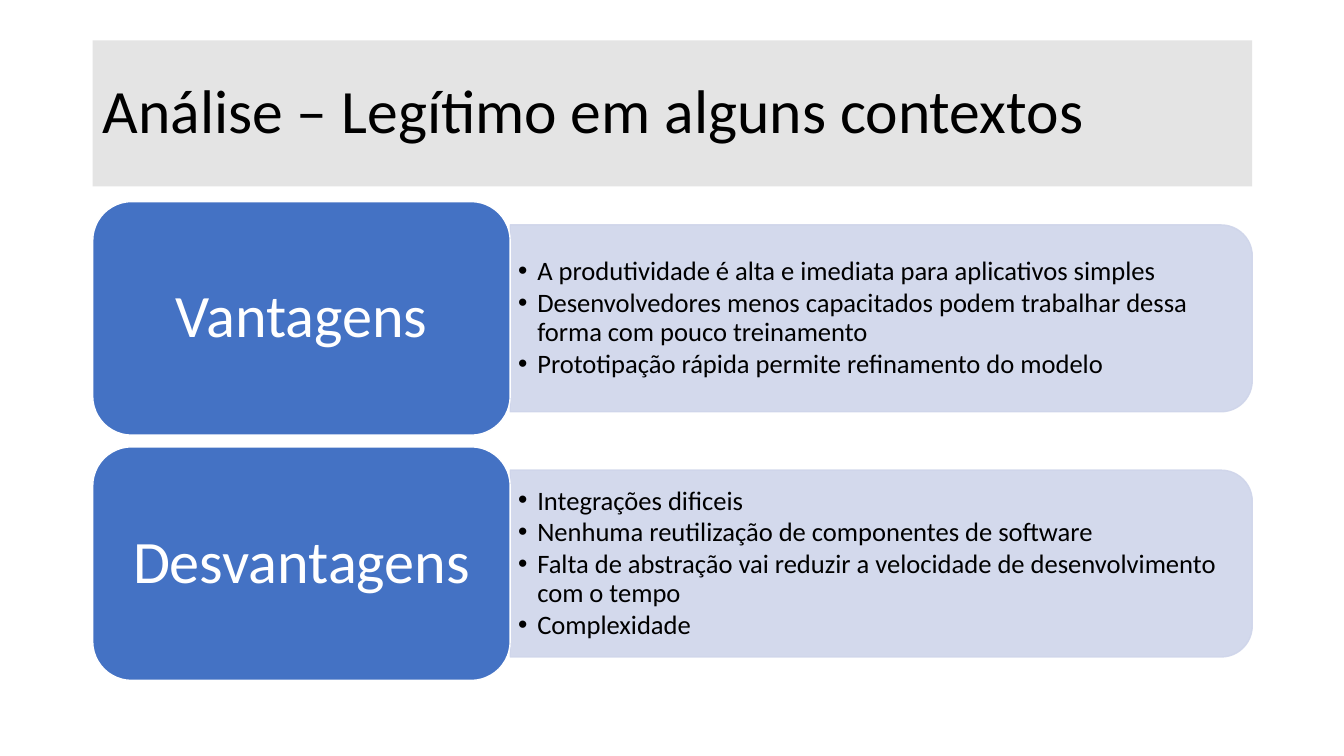
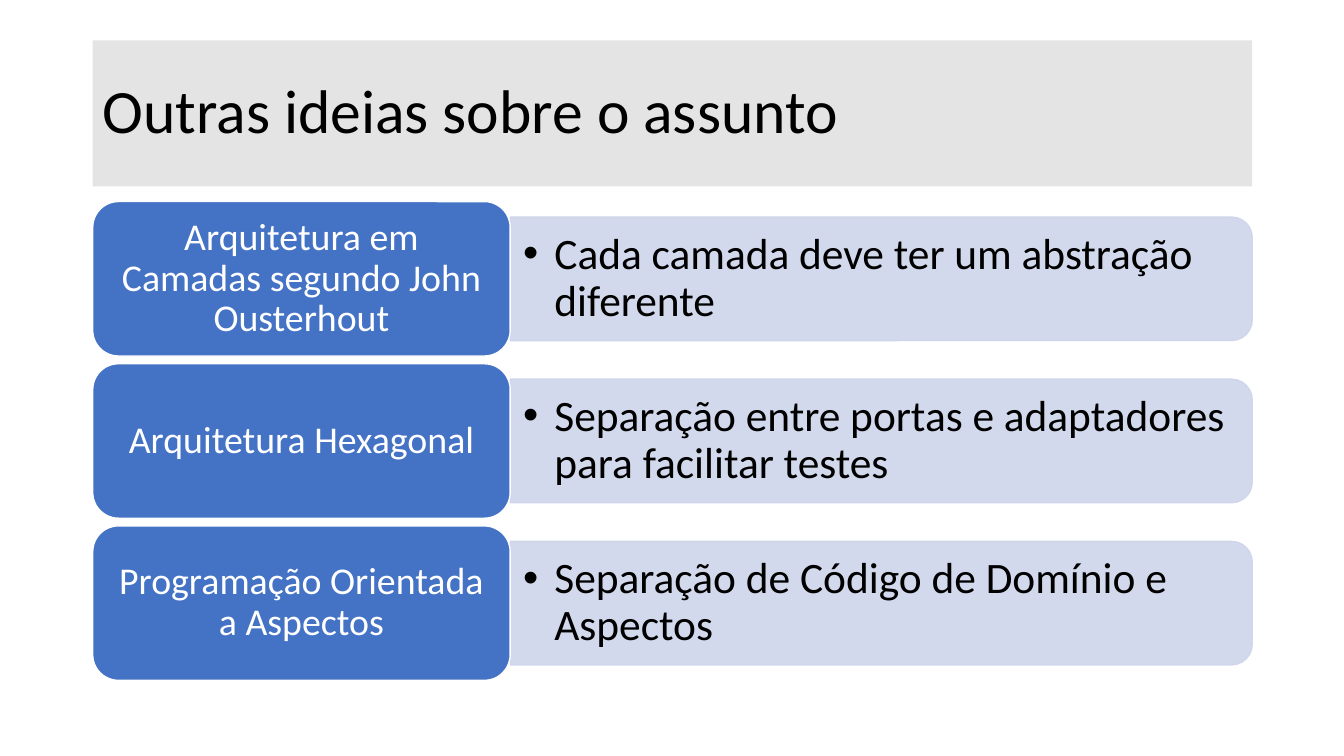
from pptx import Presentation, util as u
from pptx.dml.color import RGBColor
from pptx.enum import shapes, text
from pptx.oxml.ns import qn
from lxml import etree

WIDTH, HEIGHT = 13.33, 7.5
LEFT, CONTENT_WIDTH = 0.92, 11.5
TITLE_BOX = (LEFT, 0.4, CONTENT_WIDTH, 1.45)
ROWS_BOX = (LEFT, 2, CONTENT_WIDTH, 4.75)
LABEL_SHARE, PANEL_SHARE, GAP_SHARE = 0.36, 0.8, 0.05
FONT = "Calibri"
BLACK, WHITE, BLUE, PALE_BLUE, GREY = "000000", "FFFFFF", "4472C4", "CFD5EA", "D9D9D9"

SLIDES = [
    {
        "title": "Análise – Legítimo em alguns contextos",
        "label_size": 43,
        "panel_size": 19,
        "rows": [
            ("Vantagens", [
                "A produtividade é alta e imediata para aplicativos simples",
                "Desenvolvedores menos capacitados podem trabalhar dessa forma com pouco treinamento",
                "Prototipação rápida permite refinamento do modelo",
            ]),
            ("Desvantagens", [
                "Integrações dificeis",
                "Nenhuma reutilização de componentes de software",
                "Falta de abstração vai reduzir a velocidade de desenvolvimento com o tempo",
                "Complexidade",
            ]),
        ],
    },
    {
        "title": "Outras ideias sobre o assunto",
        "label_size": 27,
        "panel_size": 31,
        "rows": [
            ("Arquitetura em Camadas segundo John Ousterhout",
             ["Cada camada deve ter um abstração diferente"]),
            ("Arquitetura Hexagonal",
             ["Separação entre portas e adaptadores para facilitar testes"]),
            ("Programação Orientada a Aspectos",
             ["Separação de Código de Domínio e Aspectos"]),
        ],
    },
]


def inches(box):
    return [u.Inches(length) for length in box]


def paint(color_format, color, opacity=100):
    """Set a solid fill to a hex colour, with opacity in percent."""
    color_format.solid()
    color_format.fore_color.rgb = RGBColor.from_string(color)
    if opacity < 100:
        for node in color_format._xPr.iter(qn("a:srgbClr")):
            etree.SubElement(node, qn("a:alpha"), val=str(opacity * 1000))


def add_block(page, kind, box, fill, line=None, opacity=100, rotation=0):
    block = page.shapes.add_shape(kind, *inches(box))
    block.shadow.inherit = False
    block.rotation = rotation
    paint(block.fill, fill, opacity)
    if line:
        paint(block.line.fill, line, opacity)
        block.line.width = u.Pt(1)
    else:
        block.line.fill.background()
    return block


def add_bullet(para, indent):
    properties = para._p.get_or_add_pPr()
    properties.set("marL", str(u.Inches(indent)))
    properties.set("indent", str(-u.Inches(indent)))
    etree.SubElement(properties, qn("a:buFont"), typeface="Arial")
    etree.SubElement(properties, qn("a:buChar"), char="•")


def write(shape, lines, size, color=BLACK, align=text.PP_ALIGN.LEFT,
          insets=(7.2, 3.6), bullets=False):
    """Fill a shape with one paragraph a line; insets are points (side, top)."""
    frame = shape.text_frame
    frame.word_wrap = True
    frame.vertical_anchor = text.MSO_ANCHOR.MIDDLE
    frame.margin_left = frame.margin_right = u.Pt(insets[0])
    frame.margin_top = frame.margin_bottom = u.Pt(insets[1])
    for index, line in enumerate(lines):
        para = frame.add_paragraph() if index else frame.paragraphs[0]
        if bullets:
            add_bullet(para, size / 100)
        para.alignment = align
        para.line_spacing = 0.9
        if index:
            para.space_before = u.Pt(0.12 * size)
        span = para.add_run()
        span.text = line
        span.font.name = FONT
        span.font.size = u.Pt(size)
        span.font.color.rgb = RGBColor.from_string(color)


def scaled_insets(size):
    return 0.3 * size, 0.15 * size


def add_title(page, title):
    band = add_block(page, shapes.MSO_SHAPE.RECTANGLE, TITLE_BOX, GREY, opacity=70)
    write(band, [title], 44)


def add_panel(page, box, lines, size):
    """Draw a panel rounded on its right side, with bulleted text."""
    left, top, width, height = box
    turned = (left + (width - height) / 2, top + (height - width) / 2, height, width)
    add_block(page, shapes.MSO_SHAPE.ROUND_2_SAME_RECTANGLE, turned, PALE_BLUE,
              line=PALE_BLUE, opacity=90, rotation=90)
    pad = 0.05 * height
    area = page.shapes.add_textbox(
        *inches((left, top + pad, width - pad, height - 2 * pad)))
    write(area, lines, size, insets=scaled_insets(size), bullets=True)


def add_label(page, box, label, size):
    block = add_block(page, shapes.MSO_SHAPE.ROUNDED_RECTANGLE, box, BLUE, line=WHITE)
    write(block, [label], size, color=WHITE, align=text.PP_ALIGN.CENTER,
          insets=scaled_insets(size))


def add_rows(page, box, rows, label_size, panel_size):
    """Share the box's height among label and panel pairs."""
    left, top, width, height = box
    row_height = height / (len(rows) + GAP_SHARE * (len(rows) - 1))
    label_width = LABEL_SHARE * width
    panel_height = PANEL_SHARE * row_height
    for index, (label, lines) in enumerate(rows):
        row_top = top + index * row_height * (1 + GAP_SHARE)
        panel_top = row_top + (row_height - panel_height) / 2
        add_panel(page, (left + label_width, panel_top, width - label_width, panel_height),
                  lines, panel_size)
        add_label(page, (left, row_top, label_width, row_height), label, label_size)


def main():
    deck = Presentation()
    deck.slide_width, deck.slide_height = inches((WIDTH, HEIGHT))
    for content in SLIDES:
        page = deck.slides.add_slide(deck.slide_layouts[6])
        add_title(page, content["title"])
        add_rows(page, ROWS_BOX, content["rows"],
                 content["label_size"], content["panel_size"])
    deck.save("out.pptx")


if __name__ == "__main__":
    main()
